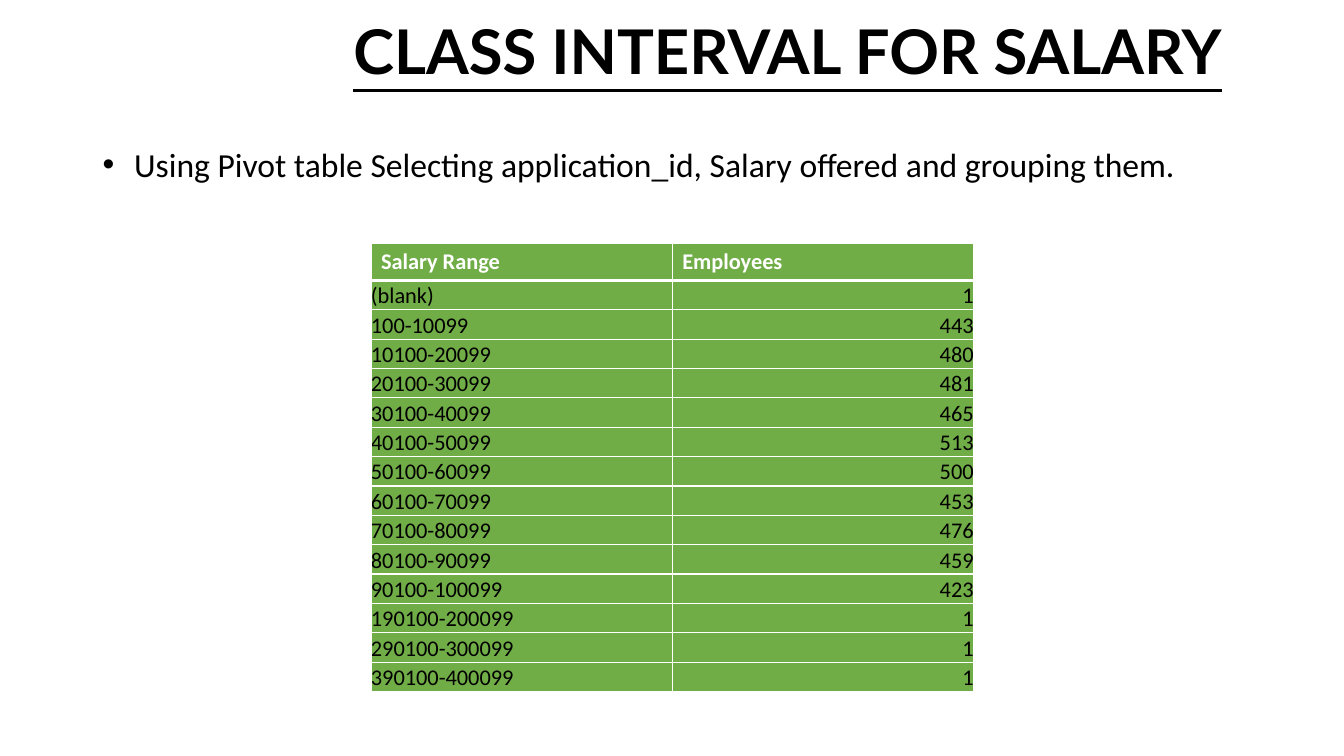
"""Build the slide that groups salaries into class intervals."""
from dataclasses import dataclass

import lxml.etree
import pptx
import pptx.dml.color
import pptx.enum.text
import pptx.oxml.ns
import pptx.util

Pt = pptx.util.Pt
Align = pptx.enum.text.PP_ALIGN
Anchor = pptx.enum.text.MSO_ANCHOR
Fit = pptx.enum.text.MSO_AUTO_SIZE


@dataclass(frozen=True)
class Theme:
    ink: str = "000000"
    paper: str = "FFFFFF"
    green: str = "70AD47"
    face: str = "Calibri"
    title_face: str = "Lato"
    title_size: float = 44
    body_size: float = 24
    cell_size: float = 16
    thin: float = 1
    thick: float = 3


@dataclass(frozen=True)
class Box:
    left: float
    top: float
    width: float
    height: float

    def span(self) -> list:
        return [Pt(v) for v in (self.left, self.top, self.width, self.height)]


@dataclass(frozen=True)
class Range:
    label: str
    count: int


THEME = Theme()
TITLE = Box(66.24, 0, 828, 78.48)
TABLE = Box(264.96, 173.52, 430.56, 320.4)
POINT = Box(66.24, 99.36, 803.52, 36)
HEAD_HEIGHT = 26.7
TITLE_INSET = 186.2
HANG = 22.5
HEADS = ("Salary Range", "Employees")
RANGES = (
    Range("(blank)", 1),
    Range("100-10099", 443),
    Range("10100-20099", 480),
    Range("20100-30099", 481),
    Range("30100-40099", 465),
    Range("40100-50099", 513),
    Range("50100-60099", 500),
    Range("60100-70099", 453),
    Range("70100-80099", 476),
    Range("80100-90099", 459),
    Range("90100-100099", 423),
    Range("190100-200099", 1),
    Range("290100-300099", 1),
    Range("390100-400099", 1),
)


def add_node(parent, tag: str, **attrs):
    node = lxml.etree.SubElement(parent, pptx.oxml.ns.qn(tag))
    for name, value in attrs.items():
        node.set(name, str(value))
    return node


def set_font(font, size: float, color: str, face: str, bold: bool = False) -> None:
    font.size = Pt(size)
    font.color.rgb = pptx.dml.color.RGBColor.from_string(color)
    font.name = face
    font.bold = bold


def draw_title(slide) -> None:
    title = slide.shapes.title
    title.left, title.top, title.width, title.height = TITLE.span()
    frame = title.text_frame
    frame.text = "CLASS INTERVAL FOR SALARY"
    frame.auto_size = Fit.NONE
    frame.vertical_anchor = Anchor.MIDDLE
    frame.margin_left = Pt(TITLE_INSET)
    line = frame.paragraphs[0]
    line.alignment = Align.LEFT
    line.line_spacing = 0.9
    set_font(line.font, THEME.title_size, THEME.ink, THEME.title_face, True)
    line.font.underline = True


def draw_point(slide) -> None:
    frame = slide.shapes.add_textbox(*POINT.span()).text_frame
    frame.word_wrap = True
    frame.auto_size = Fit.SHAPE_TO_FIT_TEXT
    frame.text = ("Using Pivot table Selecting application_id, "
                  "Salary offered and grouping them.")
    line = frame.paragraphs[0]
    props = line._p.get_or_add_pPr()
    props.set("marL", str(Pt(HANG)))
    props.set("indent", str(-Pt(HANG)))
    add_node(props, "a:buFont", typeface="Arial")
    add_node(props, "a:buChar", char="•")
    set_font(line.font, THEME.body_size, THEME.ink, THEME.face)


def set_edges(cell, top: float, foot: float) -> None:
    props = cell._tc.get_or_add_tcPr()
    edges = {"L": THEME.thin, "R": THEME.thin, "T": top, "B": foot}
    for side, width in edges.items():
        edge = add_node(props, f"a:ln{side}", w=Pt(width))
        add_node(add_node(edge, "a:solidFill"), "a:srgbClr", val=THEME.paper)


def fill_cell(cell, text: str, row: int, col: int) -> None:
    head = row == 0
    set_edges(cell, THEME.thick if row == 1 else THEME.thin,
              THEME.thick if head else THEME.thin)
    cell.fill.solid()
    cell.fill.fore_color.rgb = pptx.dml.color.RGBColor.from_string(THEME.green)
    cell.text = text
    line = cell.text_frame.paragraphs[0]
    set_font(line.font, THEME.cell_size, THEME.paper if head else THEME.ink,
             THEME.face, head)
    if not head:
        cell.vertical_anchor = Anchor.BOTTOM
        cell.margin_left = cell.margin_right = 0
        cell.margin_top = cell.margin_bottom = 0
        line.alignment = Align.RIGHT if col else Align.LEFT


def draw_table(slide) -> None:
    rows = [HEADS] + [(item.label, str(item.count)) for item in RANGES]
    table = slide.shapes.add_table(len(rows), len(HEADS), *TABLE.span()).table
    for column in table.columns:
        column.width = Pt(TABLE.width / len(HEADS))
    step = (TABLE.height - HEAD_HEIGHT) / len(RANGES)
    for row, texts in enumerate(rows):
        table.rows[row].height = Pt(step if row else HEAD_HEIGHT)
        for col, text in enumerate(texts):
            fill_cell(table.cell(row, col), text, row, col)


def main() -> None:
    deck = pptx.Presentation()
    deck.slide_width, deck.slide_height = Pt(960), Pt(540)
    slide = deck.slides.add_slide(deck.slide_layouts.get_by_name("Title Only"))
    draw_title(slide)
    draw_table(slide)
    draw_point(slide)
    deck.save("out.pptx")


if __name__ == "__main__":
    main()
